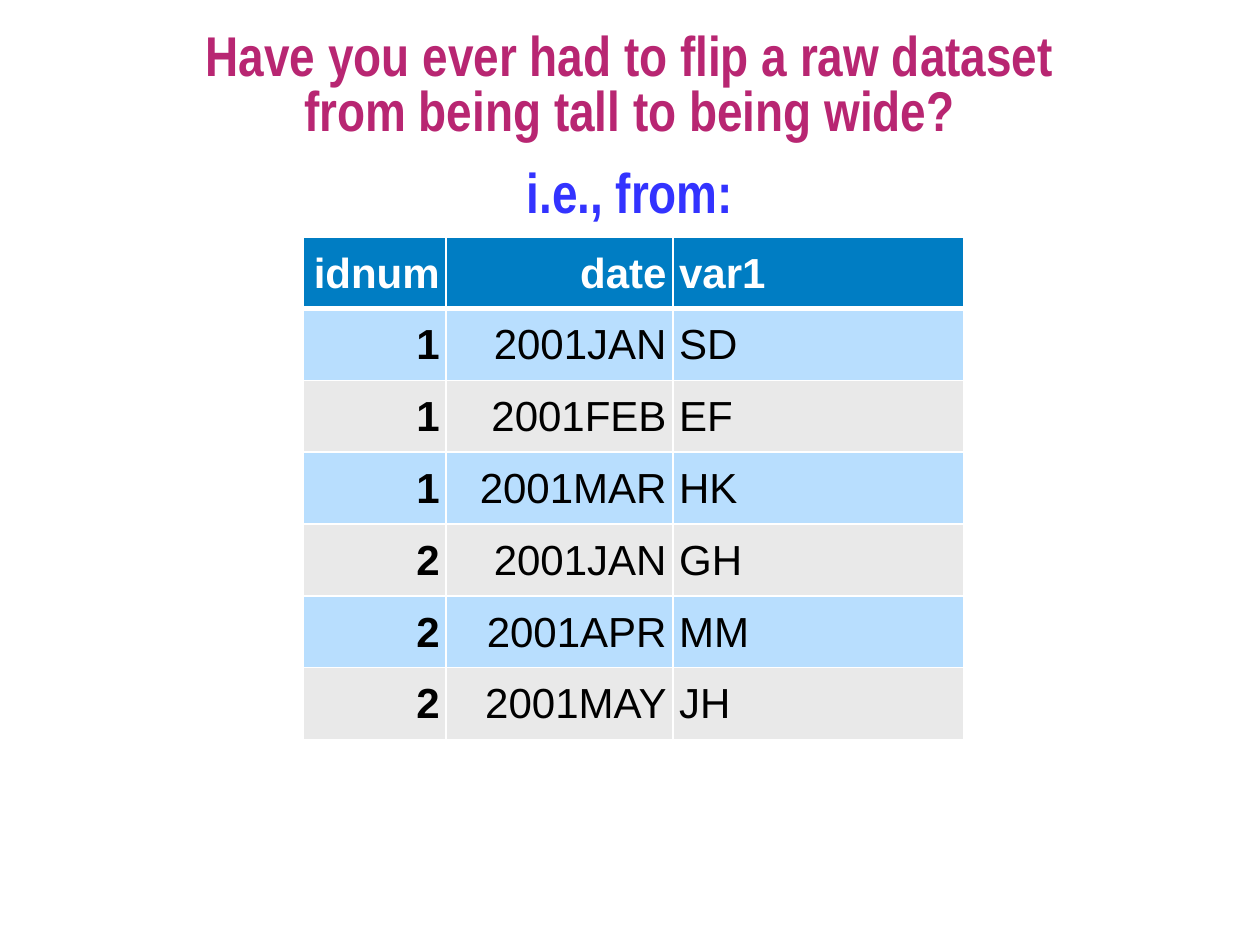
from lxml.etree import SubElement
from pptx import Presentation
from pptx.dml.color import RGBColor
from pptx.enum.text import MSO_ANCHOR, PP_ALIGN
from pptx.oxml.ns import qn
from pptx.util import Inches, Pt

ROWS = [
    ("idnum", "date", "var1"),
    ("1", "2001JAN", "SD"),
    ("1", "2001FEB", "EF"),
    ("1", "2001MAR", "HK"),
    ("2", "2001JAN", "GH"),
    ("2", "2001APR", "MM"),
    ("2", "2001MAY", "JH"),
]
WIDTHS = (1.13, 1.8, 2.31)
ALIGNS = (PP_ALIGN.RIGHT, PP_ALIGN.RIGHT, PP_ALIGN.LEFT)
HEAD, BLUE, GRAY = "007DC3", "B8DEFE", "E9E9E9"


def color(code):
    return RGBColor.from_string(code)


def write(frame, text, font="Arial", size=24, ink="000000", bold=False,
          align=PP_ALIGN.CENTER, space=1.0):
    """Fill a text frame, one paragraph for each line of text."""
    frame.text = text
    for para in frame.paragraphs:
        para.alignment = align
        para.line_spacing = space
        for run in para.runs:
            run.font.name = font
            run.font.size = Pt(size)
            run.font.bold = bold
            run.font.color.rgb = color(ink)


def border(cell, side, width, ink="FFFFFF"):
    line = SubElement(cell._tc.get_or_add_tcPr(), qn(f"a:ln{side}"), w=str(Pt(width)))
    fill = SubElement(line, qn("a:solidFill"))
    SubElement(fill, qn("a:srgbClr"), val=ink)


class Deck:
    """Holds the heading style and the current slide."""

    heading = dict(font="Arial Narrow", size=32, bold=True, space=0.83)

    def __init__(self):
        self.file = Presentation()
        self.file.slide_width = Inches(10)
        self.file.slide_height = Inches(7.5)
        self.slide = self.file.slides.add_slide(self.file.slide_layouts[6])

    def title(self, text, top, height, ink):
        box = self.slide.shapes.add_textbox(
            Inches(0), Inches(top), Inches(10), Inches(height))
        box.text_frame.word_wrap = True
        write(box.text_frame, text, ink=ink, **self.heading)

    def table(self, rows, left, top, height):
        table = self.slide.shapes.add_table(
            len(rows), len(WIDTHS), Inches(left), Inches(top),
            Inches(sum(WIDTHS)), Inches(height * len(rows))).table
        for col, width in zip(table.columns, WIDTHS):
            col.width = Inches(width)
        for r, row in enumerate(rows):
            table.rows[r].height = Inches(height)
            for c, text in enumerate(row):
                self.cell(table.cell(r, c), text, r, c)

    def cell(self, cell, text, row, col):
        head = row == 0
        cell.margin_left = cell.margin_right = Inches(0.05)
        cell.margin_top = cell.margin_bottom = Inches(0.05)
        cell.vertical_anchor = MSO_ANCHOR.TOP
        write(cell.text_frame, text, ink="FFFFFF" if head else "000000",
              bold=head or col == 0, align=ALIGNS[col], space=1.15)
        for side in "LRTB":
            thick = (head and side == "B") or (row == 1 and side == "T")
            border(cell, side, 3 if thick else 1)
        cell.fill.solid()
        cell.fill.fore_color.rgb = color(HEAD if head else BLUE if row % 2 else GRAY)


def main():
    deck = Deck()
    deck.title("Have you ever had to flip a raw dataset\nfrom being tall to being wide?",
               0.2, 0.99, "B82672")
    deck.table(ROWS, 2.41, 1.88, 0.57)
    deck.title("i.e., from:", 1.29, 0.61, "3333FF")
    deck.file.save("out.pptx")


if __name__ == "__main__":
    main()
